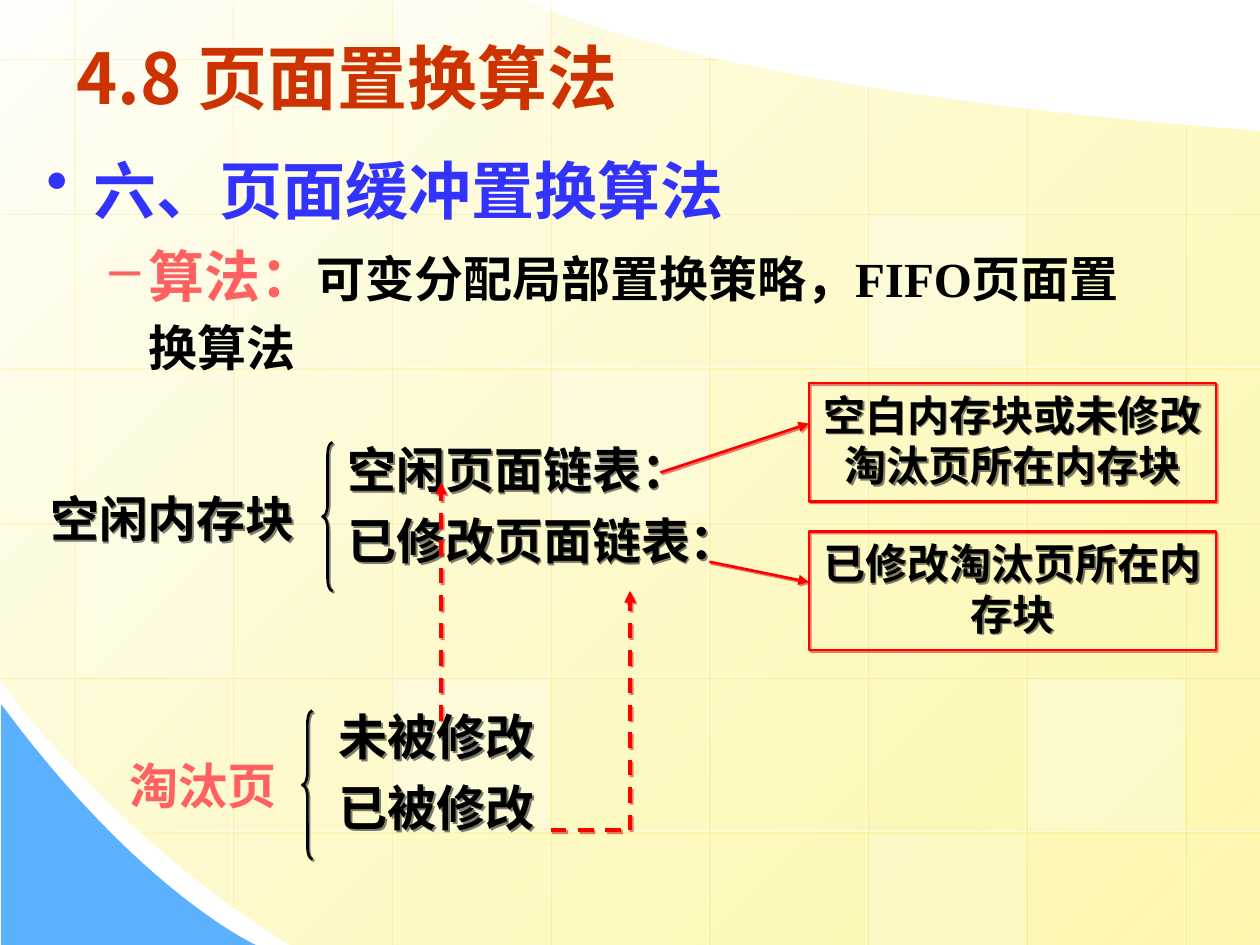
from dataclasses import dataclass

from lxml import etree
from pptx import Presentation
from pptx.dml.color import RGBColor
from pptx.enum.dml import MSO_LINE
from pptx.enum.shapes import MSO_CONNECTOR, MSO_SHAPE
from pptx.enum.text import MSO_ANCHOR, PP_ALIGN
from pptx.oxml.ns import qn
from pptx.util import Pt

STRAIGHT = MSO_CONNECTOR.STRAIGHT
DASH = MSO_LINE.DASH
RECTANGLE, LEFT_BRACE = MSO_SHAPE.RECTANGLE, MSO_SHAPE.LEFT_BRACE
MIDDLE, CENTER = MSO_ANCHOR.MIDDLE, PP_ALIGN.CENTER


@dataclass(frozen=True)
class Theme:
    white: str = "FFFFFF"
    pale: str = "FFFFFB"
    yellow: str = "FDF58D"
    sky: str = "5CB1FE"
    gold: str = "FFCC00"
    title: str = "CC3300"
    heading: str = "3333FF"
    accent: str = "FF6161"
    ink: str = "000000"
    red: str = "FF0000"
    red_shadow: str = "CC0000"
    cjk: str = "Noto Sans CJK SC"
    serif: str = "Times New Roman"
    sans: str = "Arial"
    title_size: int = 40
    heading_size: int = 36
    lead_size: int = 32
    text_size: int = 28
    note_size: int = 24


THEME = Theme()


# --- Formatting helpers ---
def rgb(color):
    return RGBColor.from_string(color)


def set_alpha(color_element, percent):
    etree.SubElement(color_element, qn("a:alpha"), val=str(percent * 1000))


def set_shadow(shape, color, opacity=50):
    effects = etree.SubElement(shape._element.spPr, qn("a:effectLst"))
    shadow = etree.SubElement(effects, qn("a:outerShdw"), dist=str(Pt(1.4)),
                              dir="2700000", algn="ctr", rotWithShape="0")
    set_alpha(etree.SubElement(shadow, qn("a:srgbClr"), val=color), opacity)


def set_font(paragraph, face, size=None, color=None):
    font = paragraph.font
    font.name, font.bold = face, True
    if size:
        font.size = Pt(size)
    if color:
        font.color.rgb = rgb(color)
    etree.SubElement(font._element, qn("a:ea"), typeface=THEME.cjk)


def set_bullet(paragraph, symbol, margin, hanging):
    properties = paragraph._p.get_or_add_pPr()
    properties.set("marL", str(Pt(margin)))
    properties.set("indent", str(Pt(-hanging)))
    etree.SubElement(properties, qn("a:buChar"), char=symbol)


# --- Element builders ---
def add_frame(slide, left, top, width, height):
    box = slide.shapes.add_textbox(Pt(left), Pt(top), Pt(width), Pt(height))
    box.text_frame.word_wrap = True
    return box


def add_label(slide, area, lines, size, color=THEME.ink, face=THEME.sans,
              indent=0, align=None, gap=7, spacing=None, shadow=True):
    label = add_frame(slide, *area)
    frame = label.text_frame
    for index, line in enumerate(lines):
        paragraph = frame.add_paragraph() if index else frame.paragraphs[0]
        paragraph.text = line
        if index:
            paragraph.space_before = Pt(gap)
        if indent:
            paragraph._p.get_or_add_pPr().set("marL", str(Pt(indent)))
        paragraph.alignment = align
        paragraph.line_spacing = spacing
        set_font(paragraph, face, size, color)
    if shadow:
        set_shadow(label, THEME.ink)
    return label


def add_line(slide, start, end, color, width, shadow, opacity=50,
             alpha=None, dashed=False, arrow=False):
    line = slide.shapes.add_connector(STRAIGHT, *map(Pt, (*start, *end)))
    line.line.color.rgb = rgb(color)
    line.line.width = Pt(width)
    if alpha:
        set_alpha(line._element.find(".//" + qn("a:srgbClr")), alpha)
    if dashed:
        line.line.dash_style = DASH
    if arrow:
        etree.SubElement(line.line._ln, qn("a:tailEnd"), type="triangle")
    set_shadow(line, shadow, opacity)


def add_outline(slide, kind, area, color, width, shadow):
    shape = slide.shapes.add_shape(kind, *map(Pt, area))
    shape.fill.background()
    shape.line.color.rgb = rgb(color)
    shape.line.width = Pt(width)
    set_shadow(shape, shadow)
    return shape


def add_brace(slide, left, top):
    brace = add_outline(slide, LEFT_BRACE, (left, top, 5.76, 85), THEME.ink, 1.5, THEME.ink)
    brace.adjustments[0] = 1.232


def curve(a, b, c, d, steps=24):
    for step in range(1, steps + 1):
        t = step / steps
        u = 1 - t
        yield tuple(u**3 * p + 3 * u * u * t * q + 3 * u * t * t * r + t**3 * s
                    for p, q, r, s in zip(a, b, c, d))


def add_area(slide, points):
    start, *rest = [(Pt(x), Pt(y)) for x, y in points]
    builder = slide.shapes.build_freeform(*start)
    builder.add_line_segments(rest, close=True)
    area = builder.convert_to_shape()
    area.shadow.inherit = False
    area.line.fill.background()
    return area


# --- Slide parts ---
def add_backdrop(slide):
    low, left, crest, right = (165.6, 540), (0, 388), (303, 0.7), (720, 75)
    field = add_area(slide, [right, (720, 540), low,
                             *curve(low, (62, 476), (-0.7, 388), left), (0, 0), crest,
                             *curve(crest, crest, (386.6, 49.7), right)])
    field.fill.gradient()
    field.fill.gradient_angle = 315
    for stop, color in zip(field.fill.gradient_stops, (THEME.pale, THEME.yellow)):
        stop.color.rgb = rgb(color)
    set_alpha(field._element.findall(".//" + qn("a:gs"))[-1][0], 70)

    foot, peak = (146.2, 540), (0.7, 402.5)
    corner = add_area(slide, [peak, (0.7, 540), foot, *curve(foot, foot, (80.6, 510.5), peak)])
    corner.fill.solid()
    corner.fill.fore_color.rgb = rgb(THEME.sky)


def add_grid(slide):
    columns = [41.8 + 90.7 * i for i in range(8)]
    rows = [33.1 + 88.4 * i for i in range(6)]
    tops = (0, 0, 0, 0, 31, 49, 61.2, 70.6)
    bottoms = (438.5, 517.7, *[540] * 6)
    rights = (409, *[720] * 5)
    lefts = (*[0] * 5, 80)
    ends = [((x, top), (x, bottom)) for x, top, bottom in zip(columns, tops, bottoms)]
    ends += [((right, y), (left, y)) for y, right, left in zip(rows, rights, lefts)]
    for start, end in ends:
        add_line(slide, start, end, THEME.white, 0.75, THEME.gold, 34, alpha=50)

    # Pale tiles: column, row, opacity; row -1 is the cut row at the top
    for column, row, opacity in ((3, 2, 25), (6, 4, 30), (0, 3, 20), (5, 5, 20),
                                 (2, -1, 40), (2, 4, 30), (5, 1, 30)):
        top = rows[row] + 1.8 if row >= 0 else 0
        height = min(85, 540 - top) if row >= 0 else 31.7
        tile = slide.shapes.add_shape(RECTANGLE, Pt(columns[column] + 1.4), Pt(top),
                                      Pt(88.6), Pt(height))
        tile.shadow.inherit = False
        tile.line.fill.background()
        tile.fill.solid()
        tile.fill.fore_color.rgb = rgb(THEME.white)
        set_alpha(tile._element.spPr.find(".//" + qn("a:srgbClr")), opacity)


def add_body(slide):
    frame = add_frame(slide, 19.4, 82.8, 648, 158.4).text_frame
    heading = frame.paragraphs[0]
    heading.text = "六、页面缓冲置换算法"
    set_bullet(heading, "•", 27, 27)
    set_font(heading, THEME.serif, THEME.heading_size, THEME.heading)

    algorithm = frame.add_paragraph()
    set_bullet(algorithm, "–", 58.5, 22.5)
    algorithm.line_spacing = 1.15
    algorithm.space_before = Pt(3)
    set_font(algorithm, THEME.serif)
    for text, size, color in (
            ("算法：", THEME.lead_size, THEME.accent),
            ("可变分配局部置换策略，FIFO页面置换算法", THEME.text_size, THEME.ink)):
        run = algorithm.add_run()
        run.text = text
        run.font.size = Pt(size)
        run.font.color.rgb = rgb(color)


def add_diagram(slide):
    # Free memory blocks and their two lists
    add_label(slide, (155.5, 247.7, 283.7, 91.4), ("空闲页面链表：", "已修改页面链表："),
              THEME.text_size, indent=36)
    add_label(slide, (19.4, 275.8, 158.4, 41), ("空闲内存块",), THEME.text_size, align=CENTER)
    add_brace(slide, 184.3, 252.7)

    # What each list holds
    for top, note in ((218.9, "空白内存块或未修改淘汰页所在内存块"),
                      (303.8, "已修改淘汰页所在内存块")):
        add_label(slide, (456.5, top, 244, 64.8), (note,), THEME.note_size, align=CENTER)
        add_outline(slide, RECTANGLE, (462.2, top, 232.6, 67.7), THEME.red, 1.25,
                    THEME.red_shadow)
    for start, end in (((377.3, 270), (462.2, 242)), ((405.4, 321), (462.2, 332.6))):
        add_line(slide, start, end, THEME.red, 1.5, THEME.red_shadow, arrow=True)

    # Evicted pages
    add_label(slide, (31, 423.4, 153.4, 67.7), ("淘汰页",), THEME.text_size, THEME.accent,
              THEME.serif, indent=36, spacing=1.15, shadow=False)
    add_brace(slide, 172.8, 406)
    add_label(slide, (150.5, 400.3, 193, 91.4), ("未被修改", "已被修改"),
              THEME.text_size, indent=36)

    # Routes from evicted pages to the lists
    for start, end, arrow in (((252, 411.8), (252, 275.8), True),
                              ((314.6, 474.5), (360, 474.5), False),
                              ((360, 474.5), (360, 337.7), True)):
        add_line(slide, start, end, THEME.red, 2.25, THEME.red_shadow, dashed=True, arrow=arrow)


def main():
    deck = Presentation()
    deck.slide_width, deck.slide_height = Pt(720), Pt(540)
    slide = deck.slides.add_slide(deck.slide_layouts[6])
    add_backdrop(slide)
    add_grid(slide)
    title = add_label(slide, (36.7, 15.1, 648, 57.6), ("4.8 页面置换算法",), THEME.title_size,
                      THEME.title, THEME.cjk, shadow=False)
    title.text_frame.vertical_anchor = MIDDLE
    add_body(slide)
    add_diagram(slide)
    deck.save("out.pptx")


if __name__ == "__main__":
    main()
